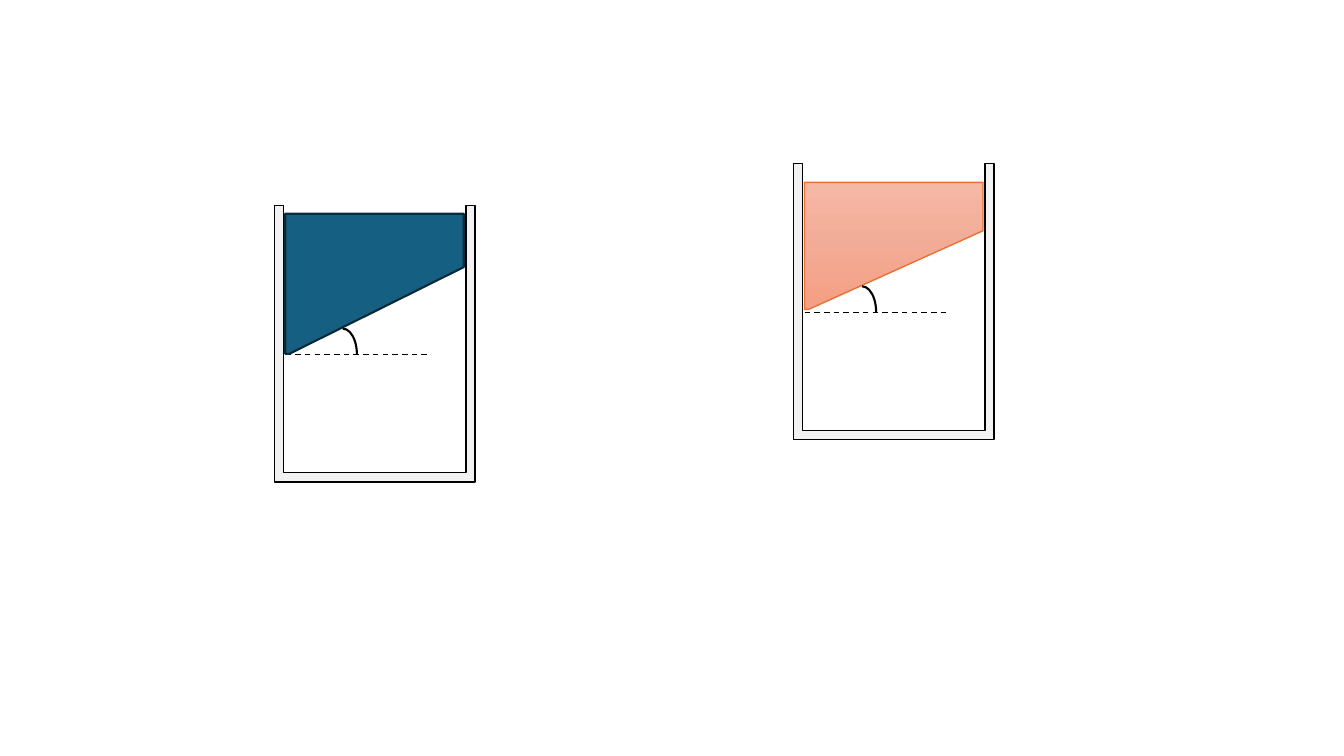
from copy import deepcopy

from lxml import etree
from pptx import Presentation
from pptx.dml.color import RGBColor
from pptx.enum.dml import MSO_LINE
from pptx.enum.shapes import MSO_CONNECTOR, MSO_SHAPE
from pptx.oxml.ns import qn
from pptx.util import Inches, Pt

BLACK = RGBColor(0x00, 0x00, 0x00)
GLASS = RGBColor(0xF2, 0xF2, 0xF2)
BLUE = RGBColor(0x15, 0x60, 0x82)
BLUE_EDGE = RGBColor(0x09, 0x2A, 0x39)
ORANGE_EDGE = RGBColor(0xE9, 0x71, 0x32)
ORANGE_FADE = [RGBColor(0xF5, 0xB8, 0xA5), RGBColor(0xF2, 0xAB, 0x96), RGBColor(0xF5, 0x9E, 0x82)]

VESSEL_W, VESSEL_H, WALL = 1.99, 2.74, 0.09
INSET, BODY_W, TOE = 0.11, 1.77, 0.04
BASELINE, BASELINE_W = 1.48, 1.44


def set_line(shape, color, width):
    """Give a shape or connector a solid line."""
    shape.line.color.rgb = color
    shape.line.width = Pt(width)


def polygon(shapes, x, y, points):
    """Draw a closed outline from points relative to (x, y)."""
    corners = [(Inches(x + dx), Inches(y + dy)) for dx, dy in points]
    builder = shapes.build_freeform(*corners[0], scale=1.0)
    builder.add_line_segments(corners[1:], close=True)
    outline = builder.convert_to_shape()
    outline.shadow.inherit = False
    return outline


def fill_body(body, colors):
    """Fill with one colour, or fade evenly from top to bottom through several."""
    if len(colors) == 1:
        body.fill.solid()
        body.fill.fore_color.rgb = colors[0]
        return
    body.fill.gradient()
    body.fill.gradient_angle = 270
    stop_list = body._element.spPr.find(qn("a:gradFill")).find(qn("a:gsLst"))
    while len(stop_list) < len(colors):
        stop_list.append(deepcopy(stop_list[-1]))
    for i, (stop, color) in enumerate(zip(body.fill.gradient_stops, colors)):
        stop.color.rgb = color
        stop.position = i / (len(colors) - 1)


def draw_vessel(shapes, x, y):
    """Draw the open container with its top left corner at (x, y)."""
    right, floor = VESSEL_W - WALL, VESSEL_H - WALL
    vessel = polygon(shapes, x, y, [
        (0, 0), (WALL, 0), (WALL, floor), (right, floor),
        (right, 0), (VESSEL_W, 0), (VESSEL_W, VESSEL_H), (0, VESSEL_H)])
    fill_body(vessel, [GLASS])
    set_line(vessel, BLACK, 1)


def draw_baseline(shapes, x, y):
    """Draw the dashed horizontal from which the slope is measured."""
    line = shapes.add_connector(MSO_CONNECTOR.STRAIGHT, Inches(x), Inches(y),
                                Inches(x + BASELINE_W), Inches(y))
    set_line(line, BLACK, 1)
    line.line.dash_style = MSO_LINE.DASH
    etree.SubElement(line._element.spPr, qn("a:effectLst"))


def draw_angle(shapes, x, y):
    """Draw the arc that marks the slope angle."""
    arc = shapes.add_shape(MSO_SHAPE.ARC, Inches(x), Inches(y), Inches(0.28), Inches(0.51))
    arc.shadow.inherit = False
    arc.fill.background()
    set_line(arc, BLACK, 1.5)


def draw_sloped_vessel(shapes, x, y, top, left_h, right_h, colors, edge, edge_width):
    """Draw a container holding a body with a sloped underside, and its angle."""
    draw_vessel(shapes, x, y)
    draw_baseline(shapes, x + INSET, y + BASELINE)
    body = polygon(shapes, x + INSET, y + top, [
        (0, 0), (BODY_W, 0), (BODY_W, right_h), (TOE, left_h), (0, left_h)])
    fill_body(body, colors)
    set_line(body, edge, edge_width)
    draw_angle(shapes, x + 0.54, y + 1.22)


prs = Presentation()
prs.slide_width, prs.slide_height = Inches(13.33), Inches(7.5)
slide = prs.slides.add_slide(prs.slide_layouts[6])
draw_sloped_vessel(slide.shapes, 2.72, 2.04, 0.08, 1.39, 0.53, [BLUE], BLUE_EDGE, 1.5)
orange_group = slide.shapes.add_group_shape()
draw_sloped_vessel(orange_group.shapes, 7.87, 1.62, 0.19, 1.26, 0.48,
                   ORANGE_FADE, ORANGE_EDGE, 1)
prs.save("out.pptx")
